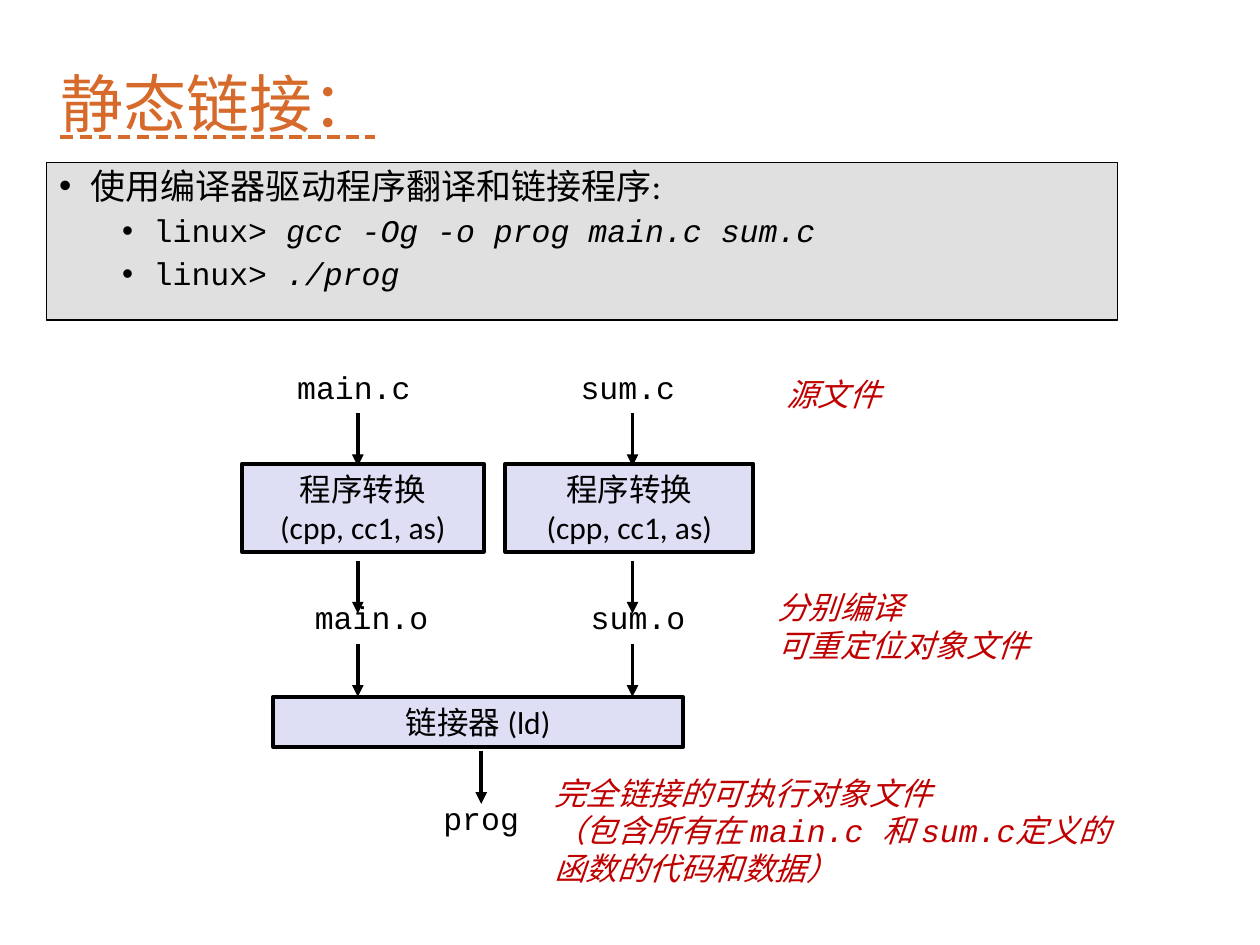
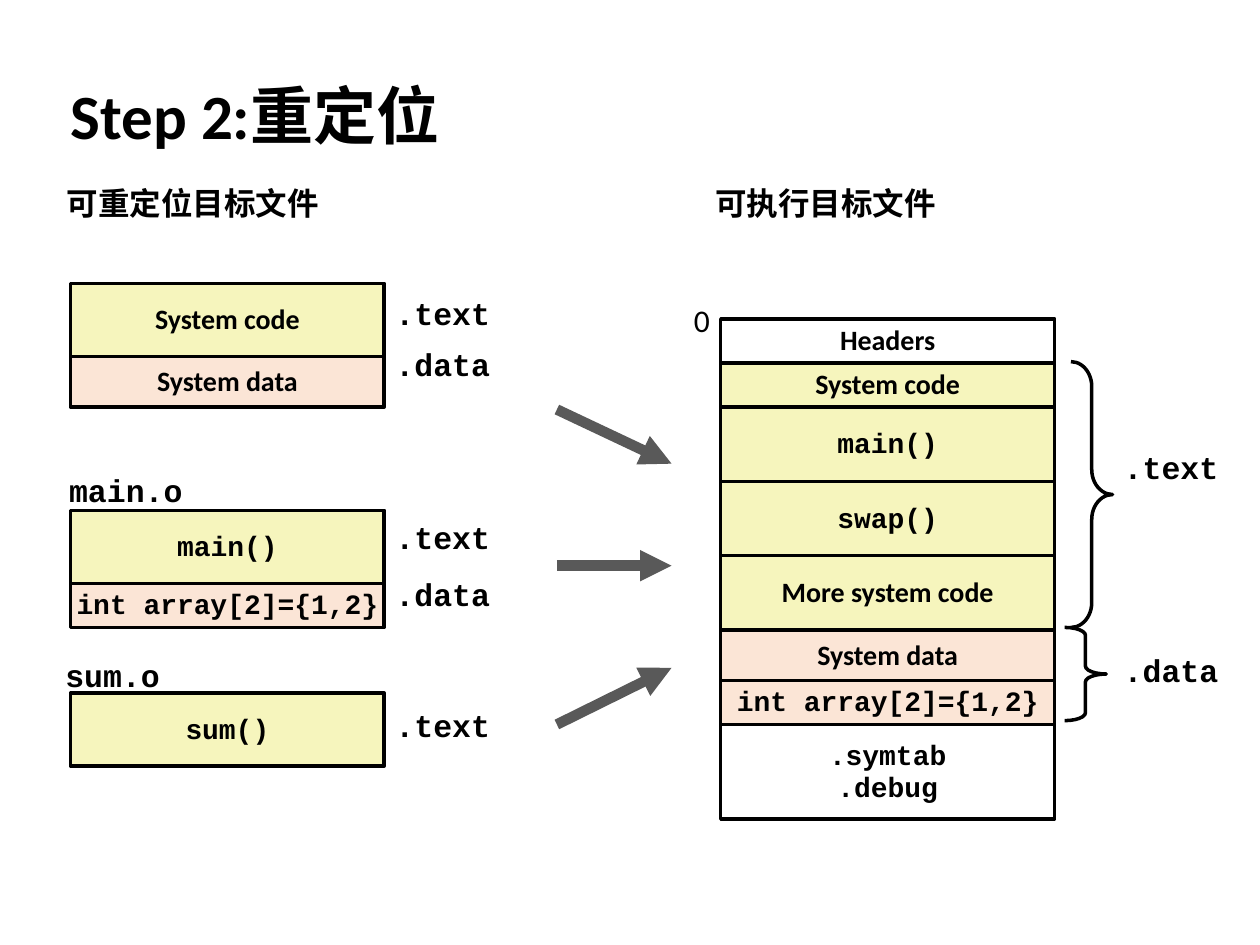
import dataclasses

import lxml.etree
import pptx
import pptx.dml.color
import pptx.enum.shapes
import pptx.enum.text
import pptx.oxml.ns
import pptx.util

PX = 9144
ALIGN = pptx.enum.text.PP_ALIGN
ANCHOR = pptx.enum.text.MSO_ANCHOR
SHAPE = pptx.enum.shapes.MSO_SHAPE


@dataclasses.dataclass(frozen=True)
class Font:
    face: str
    size: int
    color: str = "000000"
    bold: bool = False
    italic: bool = False
    under: object = False
    lead: float = 1.0


@dataclasses.dataclass(frozen=True)
class Theme:
    ink: str = "000000"
    panel: str = "E0E0E0"
    edge: str = "000004"
    tool: str = "DEDFF5"
    code: str = "F6F5BD"
    data: str = "FBE5D6"
    plain: str = "FFFFFF"
    gray: str = "595959"
    link: Font = Font("Noto Sans CJK SC", 36, "D66A2B", lead=0.9,
                      under=pptx.enum.text.MSO_UNDERLINE.DASH_LINE)
    step: Font = Font("Calibri", 36, bold=True)
    lead: Font = Font("Calibri", 20, lead=0.9)
    shell: Font = Font("Courier New", 18, lead=0.9)
    typed: Font = Font("Courier New", 18, italic=True, lead=0.9)
    text: Font = Font("Calibri", 18)
    label: Font = Font("Courier New", 18)
    note: Font = Font("Calibri", 18, "C00000", italic=True)
    term: Font = Font("Courier New", 18, "C00000", italic=True)
    head: Font = Font("Calibri", 18, bold=True, lead=0.98)
    name: Font = Font("Courier New", 18, bold=True, lead=0.94)
    cell: Font = Font("Calibri", 16, bold=True, lead=0.98)
    mono: Font = Font("Courier New", 16, bold=True, lead=0.94)


def rgb(color):
    """Turn a hex string into a colour."""
    return pptx.dml.color.RGBColor.from_string(color)


def px(*sizes):
    """Turn px lengths into EMU."""
    return [size * PX for size in sizes]


def add(parent, tag, **attrs):
    """Add one DrawingML element."""
    return lxml.etree.SubElement(parent, pptx.oxml.ns.qn(tag), attrs)


class Deck:
    """Draw styled elements on the current slide."""

    def __init__(self, theme):
        self.theme = theme
        self.show = pptx.Presentation()
        self.show.slide_width, self.show.slide_height = px(1000, 750)
        self.slide = None

    def place(self, shape, left, top, width, height):
        """Move a placeholder and stop it from shrinking text."""
        shape.left, shape.top, shape.width, shape.height = px(left, top, width, height)
        shape.text_frame.auto_size = pptx.enum.text.MSO_AUTO_SIZE.NONE

    def paint(self, shape, fill, line, width):
        """Set fill and outline."""
        if fill:
            shape.fill.solid()
            shape.fill.fore_color.rgb = rgb(fill)
        else:
            shape.fill.background()
        shape.line.color.rgb = rgb(line)
        shape.line.width = pptx.util.Pt(width)

    def style(self, para, runs, align):
        """Fill a paragraph with (text, font) runs."""
        para.alignment = align
        para.line_spacing = runs[0][1].lead
        for text, font in runs:
            run = para.add_run()
            run.text = text
            run.font.name = font.face
            run.font.size = pptx.util.Pt(font.size)
            run.font.color.rgb = rgb(font.color)
            run.font.bold, run.font.italic = font.bold, font.italic
            run.font.underline = font.under

    def lines(self, frame, rows, align=ALIGN.LEFT):
        """Add one paragraph for each list of runs."""
        for at, runs in enumerate(rows):
            para = frame.add_paragraph() if at else frame.paragraphs[0]
            self.style(para, runs, align)
        return frame.paragraphs

    def fill(self, frame, text, font, align=ALIGN.LEFT):
        """Add lines of text in one font."""
        self.lines(frame, [[(line, font)] for line in text.split("\n")], align)

    def start(self, layout, title, font, area, anchor):
        """Begin a slide with its title."""
        self.slide = self.show.slides.add_slide(self.show.slide_layouts[layout])
        shape = self.slide.shapes.title
        self.place(shape, *area)
        shape.text_frame.vertical_anchor = anchor
        self.fill(shape.text_frame, title, font)

    def body(self, area, rows):
        """Fill the body with a lead bullet and sub-bullets."""
        shape = self.slide.placeholders[1]
        self.place(shape, *area)
        self.paint(shape, self.theme.panel, self.theme.edge, 0.75)
        for at, para in enumerate(self.lines(shape.text_frame, rows)):
            para.level = min(at, 1)
            para.space_before = pptx.util.Pt(5 * para.level)
            props = para._p.get_or_add_pPr()
            props.set("marL", str(px(25 + 50 * para.level)[0]))
            props.set("indent", str(px(-25)[0]))
            add(props, "a:buFont", typeface="Arial")
            add(props, "a:buChar", char="•")

    def frame(self, left, top, width, height, wrap=True):
        """Add an empty text box."""
        frame = self.slide.shapes.add_textbox(*px(left, top, width, height)).text_frame
        frame.word_wrap = wrap
        return frame

    def label(self, left, top, width, height, text, font):
        """Add plain text on one or more lines."""
        self.fill(self.frame(left, top, width, height, False), text, font)

    def box(self, left, top, width, height, text, font, fill, line=2.0):
        """Add a filled rectangle with centred text."""
        shape = self.slide.shapes.add_shape(SHAPE.RECTANGLE, *px(left, top, width, height))
        shape.shadow.inherit = False
        self.paint(shape, fill, self.theme.ink, line)
        frame = shape.text_frame
        frame.word_wrap = False
        frame.vertical_anchor = ANCHOR.MIDDLE
        self.fill(frame, text, font, ALIGN.CENTER)

    def stack(self, left, top, width, rows):
        """Pile boxes of (text, font, fill, height) downwards."""
        for text, font, fill, height in rows:
            self.box(left, top, width, height, text, font, fill)
            top += height

    def brace(self, left, top, width, height, bend):
        """Add a right brace."""
        shape = self.slide.shapes.add_shape(SHAPE.RIGHT_BRACE, *px(left, top, width, height))
        shape.shadow.inherit = False
        shape.adjustments[0] = bend
        self.paint(shape, None, self.theme.ink, 2)

    def arrow(self, left, top, right, foot, color, width):
        """Add a straight arrow."""
        kind = pptx.enum.shapes.MSO_CONNECTOR.STRAIGHT
        line = self.slide.shapes.add_connector(kind, *px(left, top, right, foot))
        line.line.color.rgb = rgb(color)
        line.line.width = pptx.util.Pt(width)
        add(line.line._get_or_add_ln(), "a:tailEnd", type="triangle")
        add(line._element.spPr, "a:effectLst")


def link(deck):
    """Draw the static linking slide."""
    look = deck.theme
    deck.start(1, "静态链接：", look.link, (38, 35, 278, 82), ANCHOR.BOTTOM)
    deck.body((37, 129, 850, 125), [
        [("使用编译器驱动程序翻译和链接程序:", look.lead)],
        [("linux> ", look.shell), ("gcc -Og -o prog main.c sum.c", look.typed)],
        [("linux> ", look.shell), ("./prog", look.typed)],
    ])
    for left, width in ((192, 192), (401, 197)):
        deck.box(left, 368, width, 70, "程序转换\n(cpp, cc1, as)", look.text, look.tool, 2.25)
    deck.box(217, 553, 325, 40, "链接器 (ld)", look.text, look.tool, 2.25)

    for left, top, width, text in (
        (226, 287, 111, "main.c"), (451, 287, 96, "sum.c"),
        (240, 470, 111, "main.o"), (459, 470, 96, "sum.o"),
        (342, 629, 81, "prog"),
    ):
        deck.label(left, top, width, 40, text, look.label)
    steps = [(x, y) for x in (284, 502) for y in (328, 445, 511)]
    for x, y in steps + [(382, 596)]:
        deck.arrow(x, y, x, y + 42, look.ink, 2.25)

    deck.label(614, 293, 95, 40, "源文件", look.note)
    deck.label(607, 462, 220, 71, "分别编译\n可重定位对象文件", look.note)
    deck.lines(deck.frame(430, 609, 471, 131), [
        [("完全链接的可执行对象文件", look.note)],
        [("（包含所有在 ", look.note), ("main.c 和 sum.c定义的", look.term)],
        [("函数的代码和数据）", look.note)],
    ])


def move(deck):
    """Draw the relocation slide."""
    look = deck.theme
    deck.start(5, "Step 2:重定位", look.step, (46, 48, 953, 86), ANCHOR.MIDDLE)
    deck.label(43, 143, 221, 40, "可重定位目标文件", look.head)
    deck.label(558, 143, 196, 40, "可执行目标文件", look.head)

    start = ("System code", look.cell, look.code)
    state = ("System data", look.cell, look.data, 40)
    entry = ("main()", look.mono, look.code)
    array = ("int array[2]={1,2}", look.mono, look.data, 35)
    for top, rows in (
        (225, [(*start, 58), state]),
        (405, [(*entry, 58), array]),
        (550, [("sum()", look.mono, look.code, 58)]),
    ):
        deck.stack(56, top, 249, rows)
    deck.stack(572, 253, 265, [
        ("Headers", look.cell, look.plain, 35),
        (*start, 35),
        (*entry, 59),
        ("swap()", look.mono, look.code, 59),
        ("More system code", look.cell, look.code, 59),
        state,
        array,
        (".symtab\n.debug", look.mono, look.plain, 75),
    ])

    deck.label(45, 371, 110, 39, "main.o", look.name)
    deck.label(42, 518, 96, 39, "sum.o", look.name)
    for left, top, text in (
        (304, 231, ".text"), (304, 271, ".data"),
        (304, 409, ".text"), (304, 454, ".data"),
        (304, 558, ".text"),
        (882, 353, ".text"), (882, 514, ".data"),
    ):
        deck.label(left, top, 95, 39, text, look.name)
    deck.label(541, 234, 34, 40, "0", look.text)
    deck.brace(850, 287, 33, 211, 0.6)
    deck.brace(845, 498, 33, 74, 0.19)
    for top, foot in ((325, 368), (449, 449), (575, 530)):
        deck.arrow(442, top, 533, foot, look.gray, 6)


def main():
    """Build and save the deck."""
    deck = Deck(Theme())
    link(deck)
    move(deck)
    deck.show.save("out.pptx")


if __name__ == "__main__":
    main()
